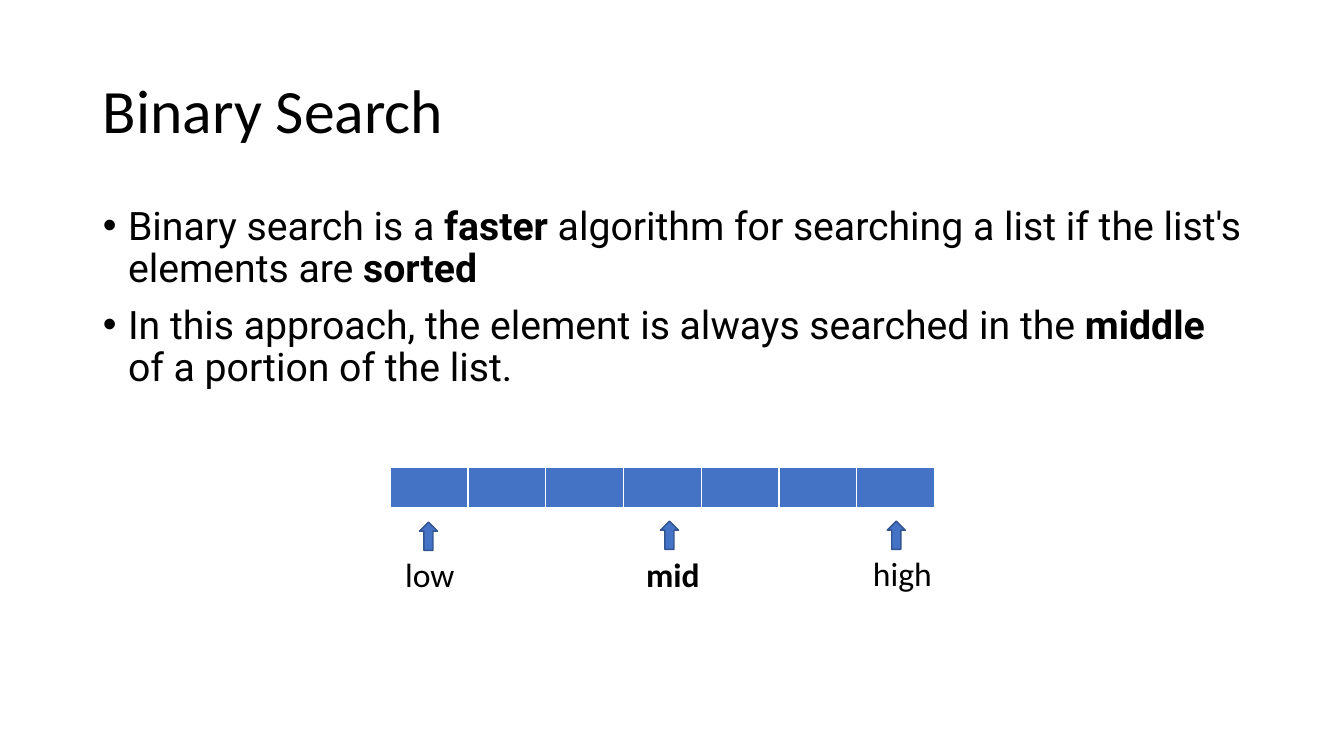
from lxml.etree import SubElement
from pptx import Presentation
from pptx.dml.color import RGBColor
from pptx.enum.shapes import MSO_SHAPE
from pptx.enum.text import MSO_ANCHOR, MSO_AUTO_SIZE, PP_ALIGN
from pptx.oxml.ns import qn
from pptx.util import Inches, Pt

COLORS = {"text": "000000", "cell": "4472C4", "arrow_edge": "325491", "border": "FFFFFF"}
CELL_COUNT = 7


def add_run(paragraph, text, font, size, bold=False):
    run = paragraph.add_run()
    run.text = text
    run.font.name = font
    run.font.size = Pt(size)
    run.font.bold = bold
    run.font.color.rgb = RGBColor.from_string(COLORS["text"])


def place(shape, left, top, width, height):
    shape.left, shape.top = Inches(left), Inches(top)
    shape.width, shape.height = Inches(width), Inches(height)


prs = Presentation()
prs.slide_width, prs.slide_height = Inches(13.33), Inches(7.5)
slide = prs.slides.add_slide(prs.slide_layouts[1])

# Title
title = slide.shapes.title
place(title, 0.92, 0.4, 11.5, 1.45)
title.text_frame.vertical_anchor = MSO_ANCHOR.MIDDLE
title.text_frame.auto_size = MSO_AUTO_SIZE.NONE
heading = title.text_frame.paragraphs[0]
heading.alignment = PP_ALIGN.LEFT
heading.line_spacing = 0.9
add_run(heading, "Binary Search", "Calibri", 44)

# Bullet points, each a list of (text, bold)
points = [
    [("Binary search is a ", False), ("faster", True),
     (" algorithm for searching a list if the list's elements are ", False), ("sorted", True)],
    [("In this approach, the element is always searched in the ", False), ("middle", True),
     (" of a portion of the list.", False)],
]
body = slide.placeholders[1]
place(body, 0.92, 2, 11.5, 4.76)
body.text_frame.auto_size = MSO_AUTO_SIZE.NONE
for index, point in enumerate(points):
    bullet = body.text_frame.add_paragraph() if index else body.text_frame.paragraphs[0]
    bullet.line_spacing = 0.9
    bullet.space_before = Pt(10)
    properties = bullet._p.get_or_add_pPr()
    properties.set("marL", str(Inches(0.25)))
    properties.set("indent", str(-Inches(0.25)))
    SubElement(properties, qn("a:buFont"), typeface="Arial")
    SubElement(properties, qn("a:buChar"), char="•")
    for text, bold in point:
        add_run(bullet, text, "Roboto", 28, bold)

# The sorted list as a row of cells
sorted_list = slide.shapes.add_table(
    1, CELL_COUNT, Inches(3.87), Inches(4.64), Inches(5.4), Inches(0.41)).table
for cell in sorted_list.iter_cells():
    cell_properties = cell._tc.get_or_add_tcPr()
    for side, width in (("lnL", 1), ("lnR", 1), ("lnT", 1), ("lnB", 3)):
        border = SubElement(cell_properties, qn(f"a:{side}"), w=str(Pt(width)))
        border_fill = SubElement(border, qn("a:solidFill"))
        SubElement(border_fill, qn("a:srgbClr"), val=COLORS["border"])
    cell.fill.solid()
    cell.fill.fore_color.rgb = RGBColor.from_string(COLORS["cell"])

# Markers: label, arrow left, arrow top, label top, label width, bold
markers = [
    ("low", 4.16, 5.18, 5.45, 0.71, False),
    ("high", 8.8, 5.17, 5.44, 0.81, False),
    ("mid", 6.55, 5.17, 5.45, 0.74, True),
]
for name, left, arrow_top, label_top, label_width, bold in markers:
    arrow = slide.shapes.add_shape(
        MSO_SHAPE.UP_ARROW, Inches(left), Inches(arrow_top), Inches(0.18), Inches(0.28))
    arrow.shadow.inherit = False
    arrow.fill.solid()
    arrow.fill.fore_color.rgb = RGBColor.from_string(COLORS["cell"])
    arrow.line.color.rgb = RGBColor.from_string(COLORS["arrow_edge"])
    arrow.line.width = Pt(1)

    label = slide.shapes.add_textbox(
        Inches(left - 0.24), Inches(label_top), Inches(label_width), Inches(0.5))
    label.text_frame.word_wrap = False
    label.text_frame.auto_size = MSO_AUTO_SIZE.SHAPE_TO_FIT_TEXT
    add_run(label.text_frame.paragraphs[0], name, "Calibri", 24, bold)

prs.save("out.pptx")
